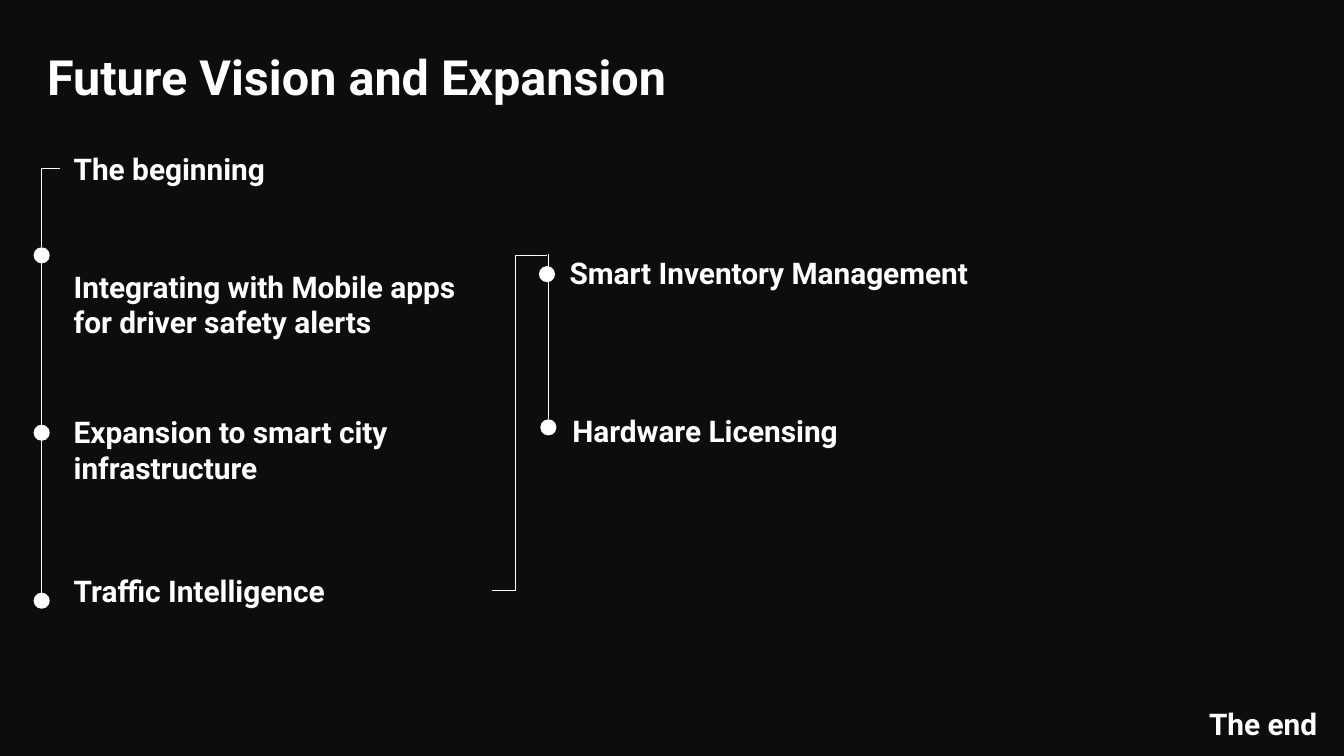
"""Build the "Future Vision and Expansion" timeline slide."""
from lxml import etree
from pptx import Presentation
from pptx.dml.color import RGBColor
from pptx.enum import shapes, text
from pptx.oxml.ns import qn
from pptx.util import Inches, Pt

BLACK = RGBColor(0x0D, 0x0D, 0x0D)
WHITE = RGBColor(0xFF, 0xFF, 0xFF)
PALE = RGBColor(0xF9, 0xF9, 0xF9)
STRAIGHT = shapes.MSO_CONNECTOR.STRAIGHT
ELBOW = shapes.MSO_CONNECTOR.ELBOW


def write(box, words, size, anchor, align):
    frame = box.text_frame
    frame.word_wrap = True
    frame.auto_size = text.MSO_AUTO_SIZE.NONE
    frame.vertical_anchor = anchor
    frame.margin_left = frame.margin_right = Inches(0.1)
    frame.margin_top = frame.margin_bottom = Inches(0.1)
    para = frame.paragraphs[0]
    para.alignment = align
    span = para.add_run()
    span.text = words
    span.font.name = "Roboto"
    span.font.size = Pt(size)
    span.font.bold = True
    span.font.color.rgb = WHITE


def connect(page, kind, start, end, color=WHITE):
    line = page.shapes.add_connector(kind, *(Inches(n) for n in start + end))
    line.line.color.rgb = color
    line.line.width = Pt(0.75)
    etree.SubElement(line._element.spPr, qn("a:effectLst"))
    return line


deck = Presentation()
deck.slide_width = Inches(10)
deck.slide_height = deck.slide_width * 9 // 16
page = deck.slides.add_slide(deck.slide_layouts[5])
page.background.fill.solid()
page.background.fill.fore_color.rgb = BLACK

title = page.shapes.title
title.left, title.top = Inches(0.25), Inches(0.25)
title.width, title.height = Inches(9.5), Inches(0.63)
write(title, "Future Vision and Expansion", 26, text.MSO_ANCHOR.TOP, text.PP_ALIGN.LEFT)

labels = {}
for words, left, top, width, align in [
    ("The beginning", 0.45, 1.02, 1.8, text.PP_ALIGN.LEFT),
    ("Integrating with Mobile apps for driver safety alerts", 0.45, 2.16, 3.21, text.PP_ALIGN.LEFT),
    ("Expansion to smart city infrastructure", 0.45, 3.24, 3.21, text.PP_ALIGN.LEFT),
    ("Traffic Intelligence", 0.45, 4.16, 3.21, text.PP_ALIGN.LEFT),
    ("Smart Inventory Management", 4.14, 1.79, 3.21, text.PP_ALIGN.LEFT),
    ("Hardware Licensing", 4.16, 2.97, 3.21, text.PP_ALIGN.LEFT),
    ("The end", 8.1, 5.15, 1.8, text.PP_ALIGN.RIGHT),
]:
    box = page.shapes.add_textbox(Inches(left), Inches(top), Inches(width), Inches(0.47))
    write(box, words, 16, text.MSO_ANCHOR.BOTTOM, align)
    labels[words] = box

dots = []
for left, top in [(0.25, 1.84), (0.25, 3.16), (0.25, 4.41), (4.01, 1.98), (4.02, 3.12)]:
    dot = page.shapes.add_shape(
        shapes.MSO_SHAPE.OVAL, Inches(left), Inches(top), Inches(0.12), Inches(0.12))
    dot.shadow.inherit = False
    dot.fill.solid()
    dot.fill.fore_color.rgb = WHITE
    dot.line.fill.background()
    dots.append(dot)
mobile_dot, city_dot, traffic_dot, inventory_dot, hardware_dot = dots

for start, end, dot in [
    ((0.31, 1.96), (0.31, 3.16), city_dot),
    ((0.31, 3.28), (0.31, 4.41), traffic_dot),
    ((4.08, 1.89), (4.08, 3.12), hardware_dot),
]:
    connect(page, STRAIGHT, start, end).end_connect(dot, 0)

opening = connect(page, ELBOW, (0.45, 1.26), (0.31, 1.84))
opening._element.spPr.find(qn("a:prstGeom")).set("prst", "bentConnector2")
opening.begin_connect(labels["The beginning"], 1)
opening.end_connect(mobile_dot, 0)

crossing = connect(page, ELBOW, (3.66, 4.39), (4.01, 1.9))
crossing.begin_connect(labels["Traffic Intelligence"], 3)
connect(page, STRAIGHT, (3.99, 1.9), (4.07, 1.9), PALE)

deck.save("out.pptx")
